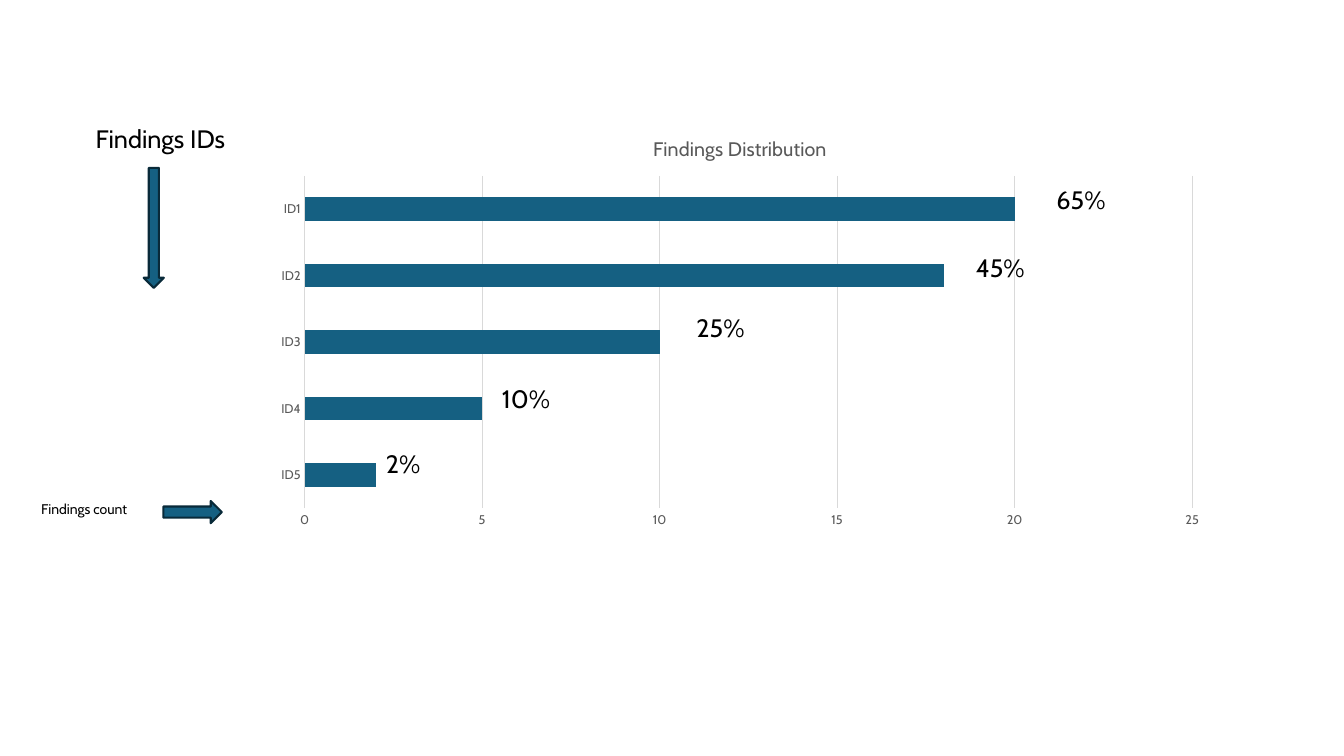
from dataclasses import dataclass

from pptx import Presentation
from pptx import util as u
from pptx.chart.data import CategoryChartData
from pptx.dml.color import RGBColor
from pptx.enum import chart as ch
from pptx.enum import shapes, text
from pptx.slide import Slide

FONT = "Cabin"
BLUE = RGBColor(0x15, 0x60, 0x82)
NAVY = RGBColor(0x09, 0x2A, 0x39)
BLACK = RGBColor(0x00, 0x00, 0x00)
GRAY = RGBColor(0x59, 0x59, 0x59)
LIGHT_GRAY = RGBColor(0xD9, 0xD9, 0xD9)


@dataclass
class Label:
    wording: str
    left: float
    top: float
    width: float = 0.77
    height: float = 0.4
    size: int = 18


@dataclass
class Arrow:
    left: float
    top: float
    width: float
    height: float
    rotation: int = 0


COUNTS = {"ID5": 2, "ID4": 5, "ID3": 10, "ID2": 18, "ID1": 20}
LABELS = [
    Label("Findings IDs", 0.85, 1.17, width=1.89),
    Label("Findings count", 0.31, 4.92, width=1.31, height=0.27, size=10),
    Label("65%", 10.38, 1.78),
    Label("45%", 9.58, 2.45),
    Label("25%", 6.81, 3.05),
    Label("10%", 4.88, 3.75),
    Label("2%", 3.73, 4.4),
]
ARROWS = [Arrow(1.62, 4.97, 0.58, 0.22), Arrow(0.93, 2.16, 1.19, 0.2, rotation=90)]


def style_font(font, size: int, color: RGBColor) -> None:
    font.name = FONT
    font.size = u.Pt(size)
    font.bold = False
    font.color.rgb = color


def style_axis(axis) -> None:
    axis.major_tick_mark = ch.XL_TICK_MARK.NONE
    axis.minor_tick_mark = ch.XL_TICK_MARK.NONE
    style_font(axis.tick_labels.font, 9, GRAY)


def style_line(line, color: RGBColor, width: float) -> None:
    line.color.rgb = color
    line.width = u.Pt(width)


def add_distribution(slide: Slide) -> None:
    findings = CategoryChartData()
    findings.categories = list(COUNTS)
    findings.add_series("Series 1", list(COUNTS.values()))
    distribution = slide.shapes.add_chart(
        ch.XL_CHART_TYPE.BAR_CLUSTERED,
        u.Inches(2.6), u.Inches(1.17), u.Inches(9.48), u.Inches(4.15), findings,
    ).chart
    style_font(distribution.font, 10, BLACK)
    distribution.has_legend = False
    distribution.has_title = True
    distribution.chart_title.include_in_layout = False
    heading = distribution.chart_title.text_frame
    heading.text = "Findings Distribution"
    style_font(heading.paragraphs[0].font, 14, GRAY)

    ids, counts = distribution.category_axis, distribution.value_axis
    for axis in (ids, counts):
        style_axis(axis)
    ids.has_major_gridlines = False
    style_line(ids.format.line, LIGHT_GRAY, 0.75)
    counts.minimum_scale, counts.maximum_scale, counts.major_unit = 0, 25, 5
    counts.format.line.fill.background()
    counts.has_major_gridlines = True
    style_line(counts.major_gridlines.format.line, LIGHT_GRAY, 0.75)

    bars = distribution.plots[0]
    bars.gap_width = 182
    bars.vary_by_categories = False
    bars.series[0].format.fill.solid()
    bars.series[0].format.fill.fore_color.rgb = BLUE


def add_label(slide: Slide, label: Label) -> None:
    frame = slide.shapes.add_textbox(
        u.Inches(label.left), u.Inches(label.top),
        u.Inches(label.width), u.Inches(label.height),
    ).text_frame
    frame.word_wrap = True
    frame.auto_size = text.MSO_AUTO_SIZE.SHAPE_TO_FIT_TEXT
    frame.text = label.wording
    style_font(frame.paragraphs[0].font, label.size, BLACK)


def add_arrow(slide: Slide, arrow: Arrow) -> None:
    pointer = slide.shapes.add_shape(
        shapes.MSO_SHAPE.RIGHT_ARROW,
        u.Inches(arrow.left), u.Inches(arrow.top),
        u.Inches(arrow.width), u.Inches(arrow.height),
    )
    pointer.rotation = arrow.rotation
    pointer.shadow.inherit = False
    pointer.fill.solid()
    pointer.fill.fore_color.rgb = BLUE
    style_line(pointer.line, NAVY, 1.5)


def main() -> None:
    deck = Presentation()
    deck.slide_width, deck.slide_height = u.Inches(13.33), u.Inches(7.5)
    slide = deck.slides.add_slide(deck.slide_layouts.get_by_name("Blank"))
    add_distribution(slide)
    for arrow in ARROWS:
        add_arrow(slide, arrow)
    for label in LABELS:
        add_label(slide, label)
    deck.save("out.pptx")


if __name__ == "__main__":
    main()
